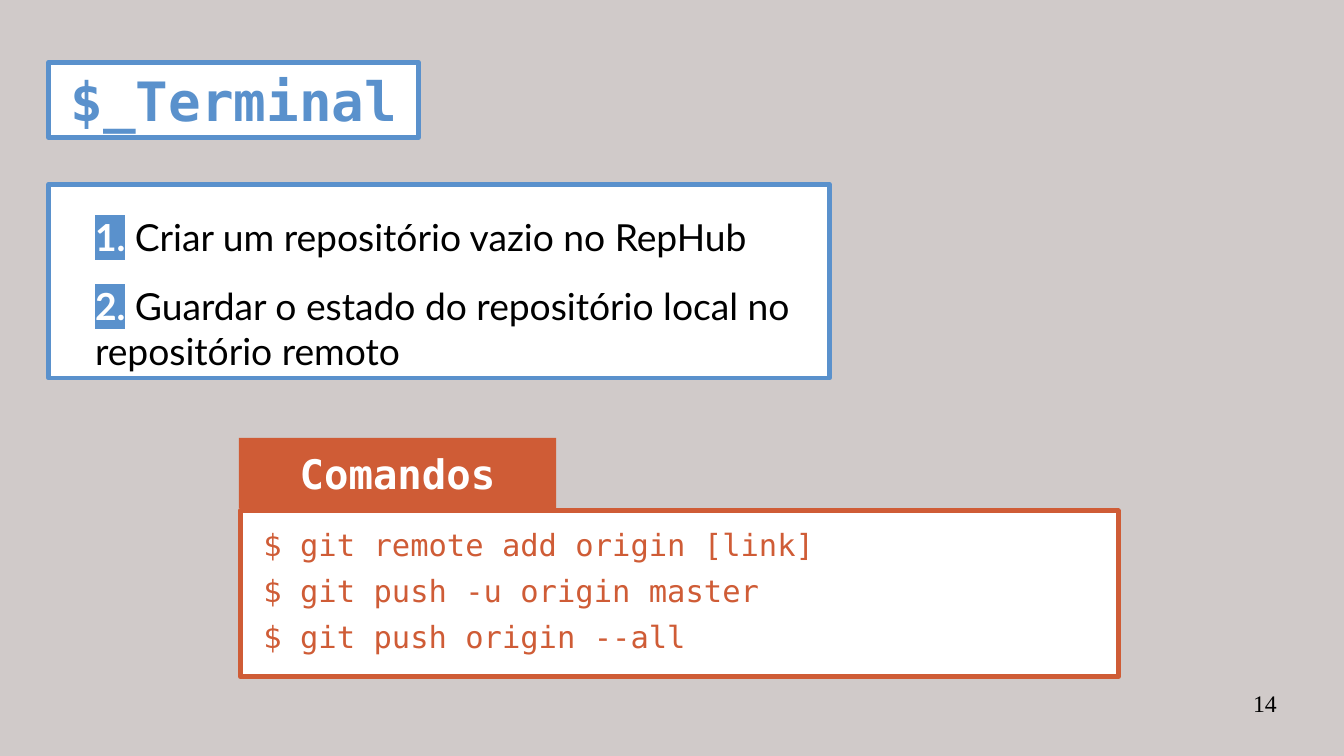
from dataclasses import dataclass

from lxml.etree import SubElement
from pptx import Presentation
from pptx.dml.color import RGBColor
from pptx.enum.shapes import MSO_SHAPE
from pptx.enum.text import MSO_ANCHOR, MSO_AUTO_SIZE, PP_ALIGN
from pptx.oxml.ns import qn
from pptx.util import Inches, Pt

COLORS = {
    "background": "D0CAC9",
    "blue": "5A91CC",
    "orange": "CF5C36",
    "white": "FFFFFF",
    "black": "000000",
}
MONO, SANS, SERIF = "DejaVu Sans Mono", "Lato", "Times New Roman"


@dataclass(frozen=True)
class Box:
    left: float
    top: float
    width: float
    height: float
    fill: str | None = None
    line: str | None = None
    insets: tuple[float, float, float, float] = (0, 0, 0, 0)
    anchor: MSO_ANCHOR = MSO_ANCHOR.TOP


TITLE = Box(0.4, 0.51, 3.03, 0.62, "white", "blue", (0.18, 0.05, 0.1, 0.05), MSO_ANCHOR.MIDDLE)
STEPS = Box(0.4, 1.51, 6.4, 1.59, "white", "blue", (0.38, 0.25, 0, 0))
COMMANDS = Box(1.97, 4.19, 7.2, 1.36, "white", "orange", (0.19, 0.12, 0.1, 0))
TAB = Box(1.96, 3.59, 2.6, 0.58, "orange", None, (0.1, 0.09, 0.1, 0))
NUMBER = Box(7.9, 5.65, 2.57, 0.43)


def rgb(name: str) -> RGBColor:
    return RGBColor.from_string(COLORS[name])


def format_box(sp, box: Box):
    sp.left, sp.top = Inches(box.left), Inches(box.top)
    sp.width, sp.height = Inches(box.width), Inches(box.height)
    if box.fill:
        sp.fill.solid()
        sp.fill.fore_color.rgb = rgb(box.fill)
    if box.line:
        sp.line.color.rgb = rgb(box.line)
        sp.line.width = Pt(2.89)
    else:
        sp.line.fill.background()
    tf = sp.text_frame
    tf.word_wrap, tf.auto_size = True, MSO_AUTO_SIZE.NONE
    tf.vertical_anchor = box.anchor
    tf.margin_left, tf.margin_top, tf.margin_right, tf.margin_bottom = map(Inches, box.insets)
    return tf


def add_box(s, box: Box):
    sp = s.shapes.add_shape(MSO_SHAPE.RECTANGLE, 0, 0, 0, 0)
    sp.shadow.inherit = False
    return format_box(sp, box)


def add_paragraph(tf, align: PP_ALIGN = PP_ALIGN.LEFT, before: float = 0, after: float = 0):
    p = tf.paragraphs[0]
    if p.runs:
        p = tf.add_paragraph()
    p.alignment, p.space_before, p.space_after = align, Pt(before), Pt(after)
    return p


def add_text(p, text: str, *, size: float, font: str, color: str,
             bold: bool = False, highlight: str | None = None) -> None:
    r = p.add_run()
    r.text = text
    r.font.size, r.font.name, r.font.bold = Pt(size), font, bold
    r.font.color.rgb = rgb(color)
    if highlight:
        rpr = r.font.fill._xPr
        mark = SubElement(rpr, qn("a:highlight"))
        SubElement(mark, qn("a:srgbClr"), val=COLORS[highlight])
        rpr.find(qn("a:solidFill")).addnext(mark)


prs = Presentation()
prs.slide_width, prs.slide_height = Inches(11.02), Inches(6.2)
s = prs.slides.add_slide(prs.slide_layouts[5])
s.background.fill.solid()
s.background.fill.fore_color.rgb = rgb("background")

tf = format_box(s.shapes.title, TITLE)
add_text(add_paragraph(tf), "$_Terminal", size=32, font=MONO, color="blue", bold=True)

tf = add_box(s, STEPS)
steps = ["Criar um repositório vazio no RepHub",
         "Guardar o estado do repositório local no repositório remoto"]
for number, step in enumerate(steps, 1):
    p = add_paragraph(tf, before=2.8, after=11.5)
    add_text(p, f"{number}.", size=22, font=SANS, color="white", bold=True, highlight="blue")
    add_text(p, f" {step}", size=22, font=SANS, color="black")

tf = add_box(s, COMMANDS)
for command in ["remote add origin [link]", "push -u origin master", "push origin --all"]:
    p = add_paragraph(tf, before=2.8, after=2.8)
    add_text(p, f"$ git {command}", size=18, font=MONO, color="orange")

tf = add_box(s, TAB)
add_text(add_paragraph(tf, PP_ALIGN.CENTER), "Comandos", size=24, font=MONO, color="white", bold=True)

tf = format_box(s.shapes.add_textbox(0, 0, 0, 0), NUMBER)
add_text(add_paragraph(tf, PP_ALIGN.RIGHT), "14", size=14, font=SERIF, color="black")

prs.save("out.pptx")
